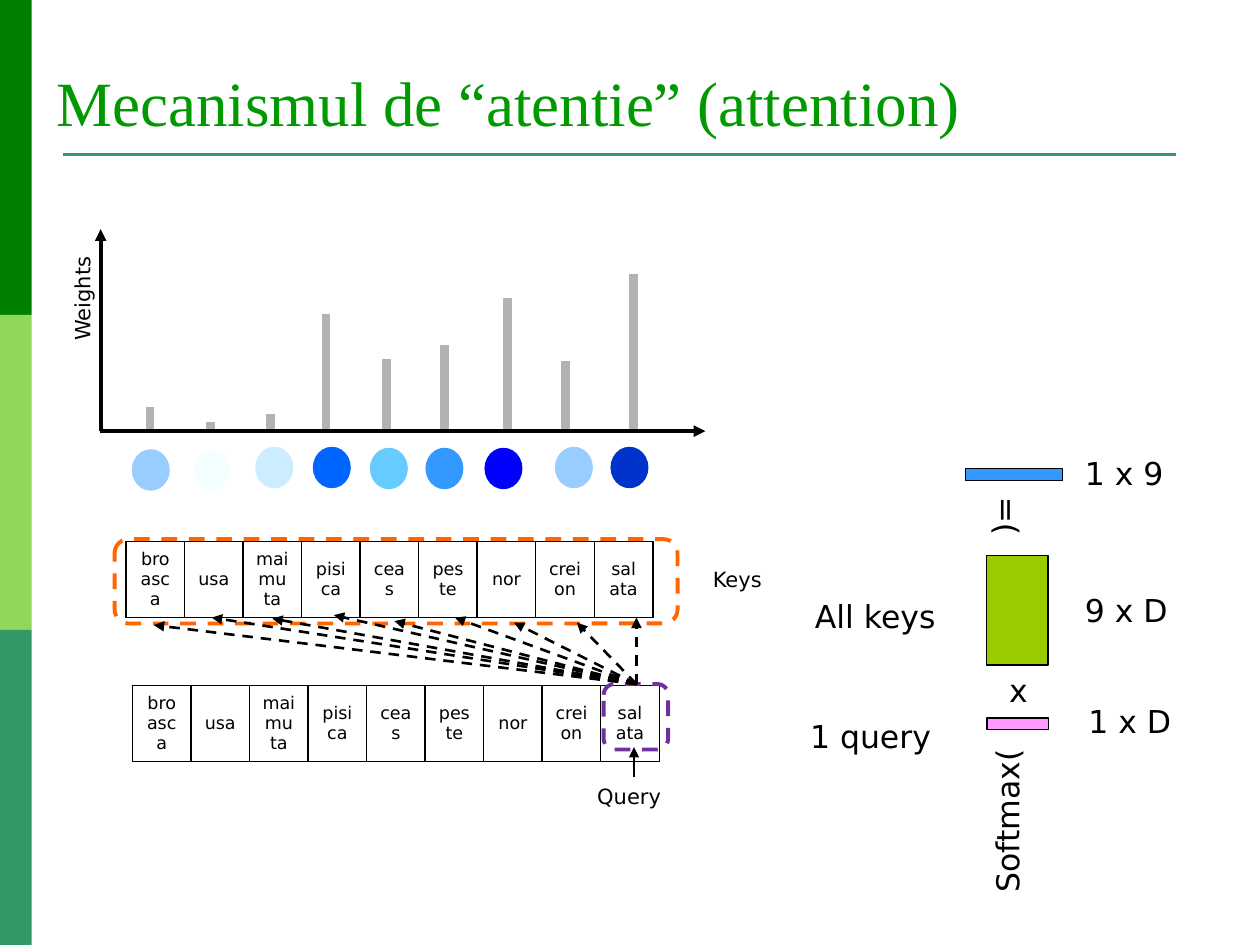
from lxml.etree import SubElement
from pptx import Presentation
from pptx.dml.color import RGBColor
from pptx.enum.dml import MSO_LINE
from pptx.enum.shapes import MSO_CONNECTOR, MSO_SHAPE
from pptx.enum.text import MSO_ANCHOR, PP_ALIGN
from pptx.oxml.ns import qn
from pptx.util import Cm, Pt

BLACK = RGBColor(0x00, 0x00, 0x00)
WHITE = RGBColor(0xFF, 0xFF, 0xFF)
GREY = RGBColor(0xB2, 0xB2, 0xB2)
ORANGE = RGBColor(0xFF, 0x66, 0x00)
PURPLE = RGBColor(0x70, 0x30, 0xA0)
PINK = RGBColor(0xFF, 0x99, 0xFF)
LIME = RGBColor(0x99, 0xCC, 0x00)
TITLE_GREEN = RGBColor(0x00, 0x99, 0x00)
DARK_GREEN = RGBColor(0x00, 0x80, 0x00)
LIGHT_GREEN = RGBColor(0x90, 0xD7, 0x5B)
SEA_GREEN = RGBColor(0x33, 0x99, 0x66)
PALE_BLUE = RGBColor(0x99, 0xCC, 0xFF)
MIST = RGBColor(0xF3, 0xFE, 0xFF)
ICE_BLUE = RGBColor(0xCC, 0xEC, 0xFF)
BRIGHT_BLUE = RGBColor(0x00, 0x66, 0xFF)
SKY_BLUE = RGBColor(0x66, 0xCC, 0xFF)
MID_BLUE = RGBColor(0x33, 0x99, 0xFF)
PURE_BLUE = RGBColor(0x00, 0x00, 0xFF)
DEEP_BLUE = RGBColor(0x00, 0x33, 0xCC)

BODY_FONT = "DejaVu Sans"
TITLE_FONT = "Times New Roman"
WORDS = ["broasca", "usa", "maimuta", "pisica", "ceas", "peste", "nor", "creion", "salata"]

# Per word: bar left, bar height, dot left, dot top, dot colour, arrow end x, arrow end y
BAR_BASE = 8.64
WEIGHTS = [
    (2.95, 0.43, 2.67, 9.07, PALE_BLUE, 3.10, 12.60),
    (4.17, 0.12, 3.91, 9.07, MIST, 4.27, 12.45),
    (5.38, 0.28, 5.16, 9.02, ICE_BLUE, 5.49, 12.47),
    (6.50, 2.29, 6.32, 9.02, BRIGHT_BLUE, 6.73, 12.40),
    (7.72, 1.38, 7.47, 9.04, SKY_BLUE, 7.95, 12.52),
    (8.89, 1.68, 8.59, 9.04, MID_BLUE, 9.17, 12.45),
    (10.16, 2.62, 9.78, 9.04, PURE_BLUE, 10.36, 12.55),
    (11.33, 1.35, 11.20, 9.02, PALE_BLUE, 11.63, 12.55),
    (12.70, 3.10, 12.32, 9.02, DEEP_BLUE, 12.83, 12.45),
]
QUERY_POINT = (12.83, 13.79)


def add_shape(page, kind, area, fill=None, line=None, width=0.75, dash=None, rotation=0):
    shape = page.shapes.add_shape(kind, *map(Cm, area))
    shape.shadow.inherit = False
    shape.rotation = rotation
    if fill is None:
        shape.fill.background()
    else:
        shape.fill.solid()
        shape.fill.fore_color.rgb = fill
    if line is None:
        shape.line.fill.background()
    else:
        shape.line.color.rgb = line
        shape.line.width = Pt(width)
        shape.line.dash_style = dash


def add_line(page, start, end, width, color=BLACK, dash=None, arrow=True):
    line = page.shapes.add_connector(MSO_CONNECTOR.STRAIGHT, *map(Cm, (*start, *end)))
    line.line.color.rgb = color
    line.line.width = Pt(width)
    line.line.dash_style = dash
    if arrow:
        SubElement(line.line._get_or_add_ln(), qn("a:tailEnd"), type="triangle")
    SubElement(line._element.spPr, qn("a:effectLst"))


def add_span(para, text, size, font=BODY_FONT, color=BLACK):
    span = para.add_run()
    span.text = text
    span.font.size = Pt(size)
    span.font.name = font
    span.font.color.rgb = color


def add_text(page, text, area, size, font=BODY_FONT, color=BLACK,
             anchor=MSO_ANCHOR.TOP, rotation=0, upward=False):
    box = page.shapes.add_textbox(*map(Cm, area))
    box.rotation = rotation
    frame = box.text_frame
    frame.word_wrap = True
    frame.vertical_anchor = anchor
    if upward:
        frame._txBody.bodyPr.set("vert", "vert270")
    add_span(frame.paragraphs[0], text, size, font, color)


def add_cell_borders(cell):
    properties = cell._tc.get_or_add_tcPr()
    for side in ("lnL", "lnR", "lnT", "lnB"):
        border = SubElement(properties, qn(f"a:{side}"), w=str(Pt(1)))
        fill = SubElement(border, qn("a:solidFill"))
        SubElement(fill, qn("a:srgbClr"), val=str(BLACK))


def add_word_table(page, left, top):
    column_width, row_height = 1.18, 1.52
    table = page.shapes.add_table(1, len(WORDS), Cm(left), Cm(top),
                                  Cm(column_width * len(WORDS)), Cm(row_height)).table
    table.first_row = table.horz_banding = False
    for column, word in enumerate(WORDS):
        table.columns[column].width = Cm(column_width)
        cell = table.cell(0, column)
        add_cell_borders(cell)
        cell.fill.solid()
        cell.fill.fore_color.rgb = WHITE
        cell.vertical_anchor = MSO_ANCHOR.MIDDLE
        para = cell.text_frame.paragraphs[0]
        para.alignment = PP_ALIGN.CENTER
        add_span(para, word, 10)


def add_frame(page):
    # Side bands, title and its rule
    for index, color in enumerate((DARK_GREEN, LIGHT_GREEN, SEA_GREEN)):
        add_shape(page, MSO_SHAPE.RECTANGLE, (0, 6.35 * index, 0.64, 6.35), color)
    add_line(page, (1.27, 3.12), (23.7, 3.12), 1.5, SEA_GREEN, arrow=False)
    add_text(page, "Mecanismul de “atentie” (attention)", (0.89, 0.33, 24, 2.59), 36,
             TITLE_FONT, TITLE_GREEN, MSO_ANCHOR.BOTTOM)


def add_attention_diagram(page):
    # Keys and query rows
    add_word_table(page, 2.54, 10.92)
    add_word_table(page, 2.67, 13.82)
    add_text(page, "Query", (11.79, 15.67, 1.93, 0.71), 12)
    add_line(page, (12.78, 15.67), (12.78, 15.06), 0.75)
    add_text(page, "Keys", (14.12, 11.3, 1.93, 0.71), 12)
    for area, color in (((12.17, 13.79, 1.3, 1.32), PURPLE),
                        ((2.31, 10.87, 11.35, 1.7), ORANGE)):
        add_shape(page, MSO_SHAPE.ROUNDED_RECTANGLE, area, line=color, width=2.25,
                  dash=MSO_LINE.DASH)

    # Weight axes
    add_text(page, "Weights", (0.41, 5.49, 2.49, 0.76), 12, rotation=270)
    add_line(page, (2.01, 8.69), (14.22, 8.69), 2.25)
    add_line(page, (2.03, 8.69), (2.03, 4.62), 2.25)

    # Bar, dot and arrow of each word
    for bar_left, height, dot_left, dot_top, color, end_x, end_y in WEIGHTS:
        add_shape(page, MSO_SHAPE.RECTANGLE, (bar_left, BAR_BASE - height, 0.15, height),
                  GREY, GREY)
        add_shape(page, MSO_SHAPE.FLOWCHART_CONNECTOR, (dot_left, dot_top, 0.74, 0.81),
                  color, WHITE if color == MIST else color)
        add_line(page, QUERY_POINT, (end_x, end_y), 1.5, dash=MSO_LINE.DASH)


def add_softmax_formula(page):
    # Vectors and matrix
    for area, color, rotation in (((20.4, 13.97, 0.23, 1.24), PINK, 90),
                                  ((19.89, 11.2, 1.24, 2.21), LIME, 0),
                                  ((20.32, 8.59, 0.25, 1.96), MID_BLUE, 90)):
        add_shape(page, MSO_SHAPE.RECTANGLE, area, color, BLACK, rotation=rotation)

    # Labels
    for text, left, top, width in (("1 x D", 21.69, 14.02, 3.4),
                                   ("9 x D", 21.62, 11.79, 3.4),
                                   ("1 x 9", 21.62, 9.02, 3.4),
                                   ("1 query", 16.08, 14.33, 3.3),
                                   ("All keys", 16.18, 11.91, 3.3),
                                   (" x", 19.89, 13.41, 2.36)):
        add_text(page, text, (left, top, width, 1.02), 18)
    add_text(page, " )=", (19.71, 9.7, 1.27, 1.55), 18, upward=True)
    add_text(page, "Softmax(", (19.79, 14.81, 1.27, 3.43), 18, upward=True)


def main():
    deck = Presentation()
    deck.slide_width, deck.slide_height = Cm(25.4), Cm(19.05)
    page = deck.slides.add_slide(deck.slide_layouts[6])
    add_frame(page)
    add_attention_diagram(page)
    add_softmax_formula(page)
    deck.save("out.pptx")


if __name__ == "__main__":
    main()
